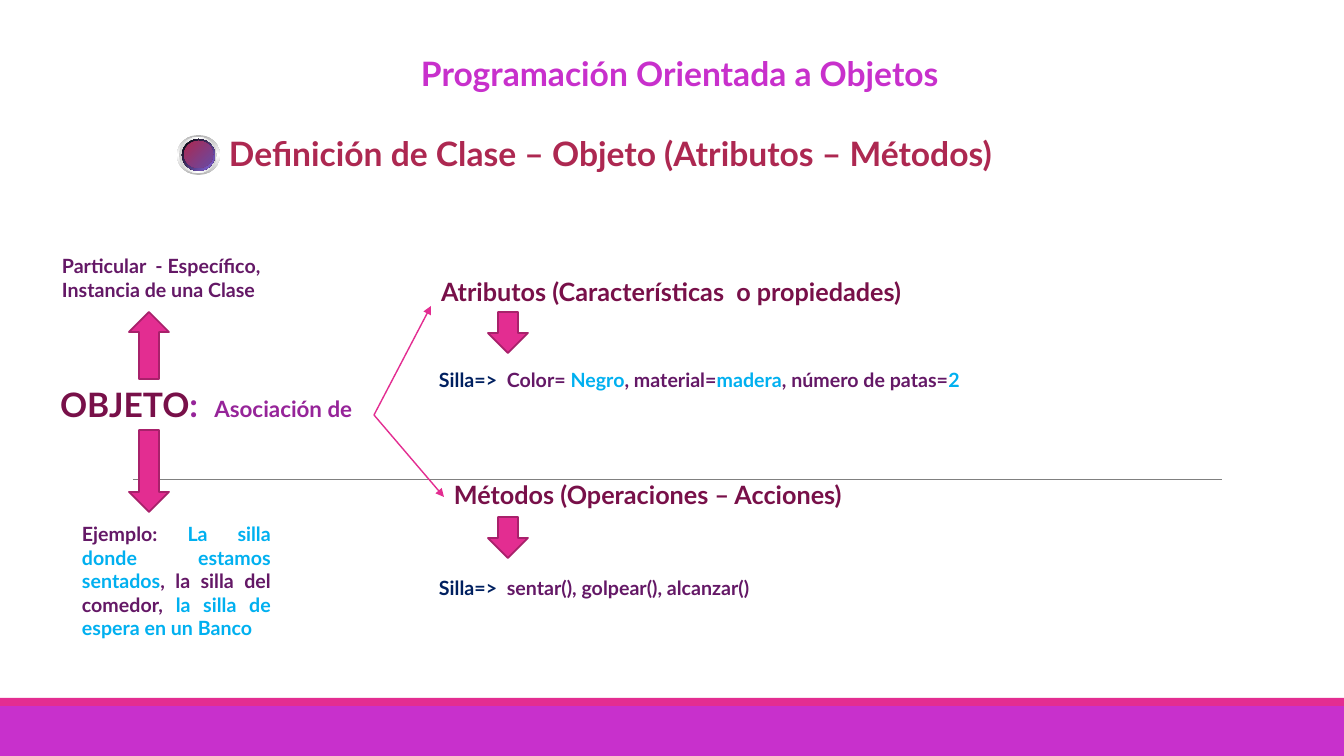
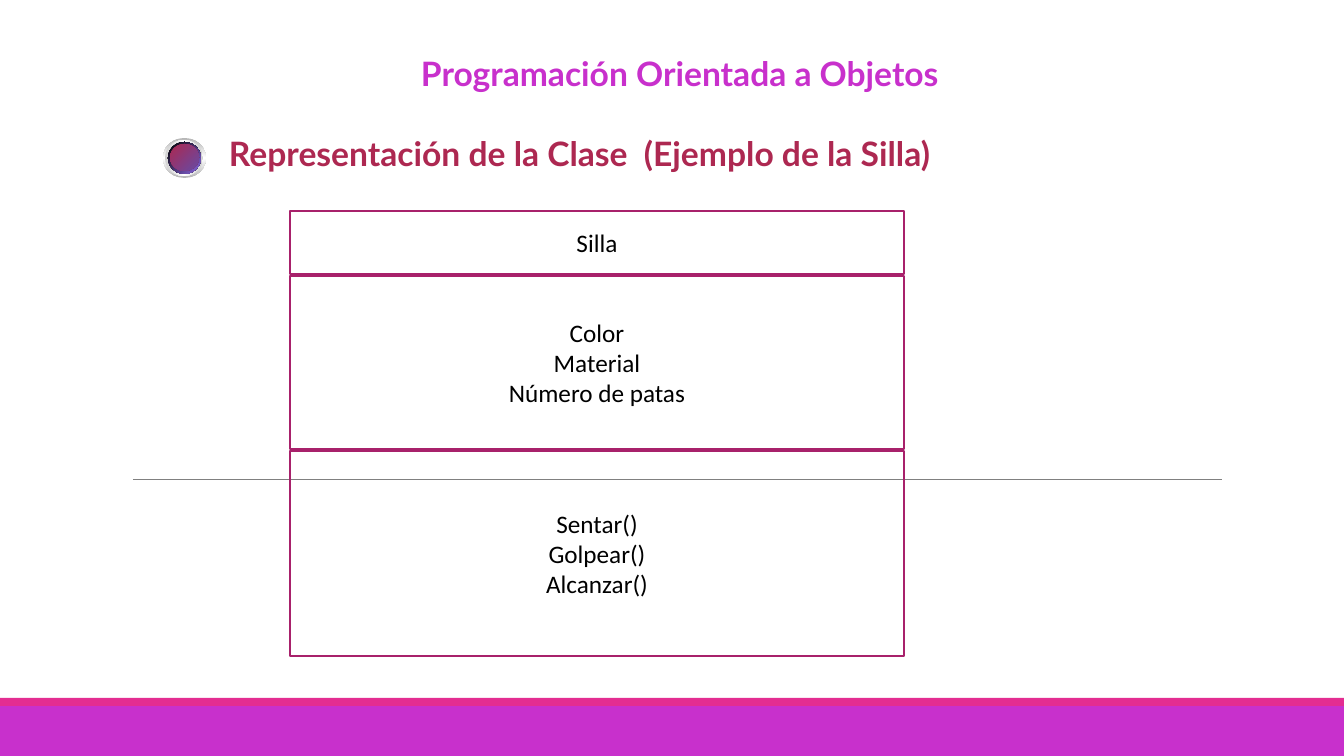
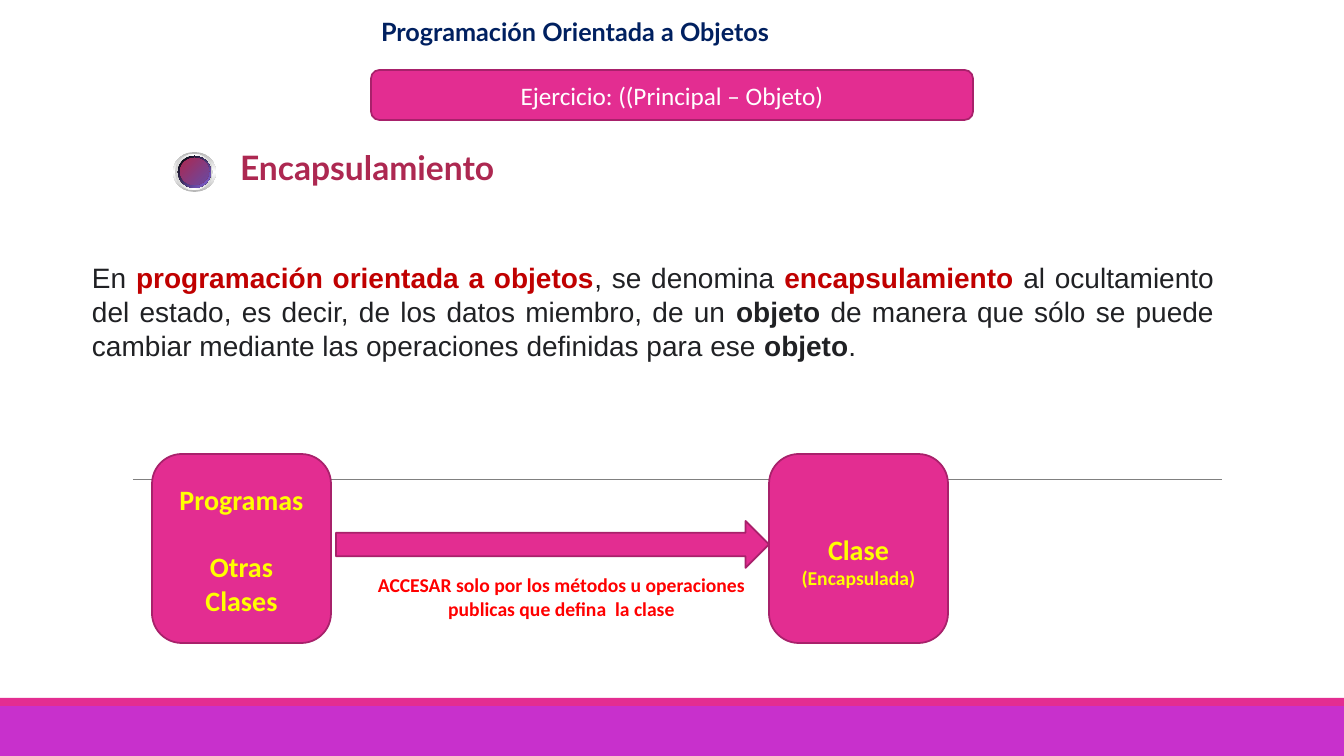
from dataclasses import dataclass

from lxml import etree
from pptx import Presentation
from pptx import util as u
from pptx.dml import color as c
from pptx.enum import shapes as s
from pptx.enum import text as t
from pptx.oxml import ns


@dataclass(frozen=True)
class Theme:
    purple: str = "C830CC"
    pink: str = "E32D91"
    edge: str = "A8216B"
    rule: str = "808080"
    heading: str = "AD2851"
    wine: str = "781049"
    violet: str = "962499"
    plum: str = "641866"
    sky: str = "00B0F0"
    navy: str = "002060"
    yellow: str = "FFFF00"
    red: str = "FF0000"
    crimson: str = "C00000"
    ink: str = "202124"
    black: str = "000000"
    white: str = "FFFFFF"
    title: int = 24
    box: int = 20
    topic: int = 18
    label: int = 16
    note: int = 14
    font: str = "Lato"
    box_font: str = "Calibri"
    text_font: str = "Arial"


theme = Theme()
PX = 914400 / 100.8
KIND = s.MSO_SHAPE
LEFT, CENTER, JUSTIFY = t.PP_ALIGN.LEFT, t.PP_ALIGN.CENTER, t.PP_ALIGN.JUSTIFY
TOP, MIDDLE = t.MSO_ANCHOR.TOP, t.MSO_ANCHOR.MIDDLE


def draw(shapes, at, kind=None, fill=None, line=None):
    """Add a text box, or a preset shape filled with a colour or (angle, colours)."""
    place = [round(value * PX) for value in at]
    if kind is None:
        return shapes.add_textbox(*place)
    shape = shapes.add_shape(kind, *place)
    shape.shadow.inherit = False
    if isinstance(fill, tuple):
        angle, colors = fill
        shape.fill.gradient()
        grad = shape.element.spPr.find(ns.qn("a:gradFill"))
        stops = grad.find(ns.qn("a:gsLst"))
        for stop in list(stops):
            stops.remove(stop)
        for index, color in enumerate(colors):
            position = str(100000 * index // (len(colors) - 1))
            stop = etree.SubElement(stops, ns.qn("a:gs"), pos=position)
            etree.SubElement(stop, ns.qn("a:srgbClr"), val=color)
        grad.find(ns.qn("a:lin")).set("ang", str(angle * 60000))
    elif fill:
        shape.fill.solid()
        shape.fill.fore_color.rgb = c.RGBColor.from_string(fill)
    else:
        shape.fill.background()
    if line:
        shape.line.color.rgb = c.RGBColor.from_string(line)
        shape.line.width = u.Pt(1.25)
    else:
        shape.line.fill.background()
    return shape


def write(shape, *paragraphs, size, color, font=theme.font, bold=True,
          align=LEFT, anchor=TOP, gap=0, top=5, side=10):
    """Each paragraph is a string or a list of (text, changes) spans."""
    frame = shape.text_frame
    frame.word_wrap = True
    frame.vertical_anchor = anchor
    frame.margin_top = round(top * PX)
    frame.margin_left = frame.margin_right = round(side * PX)
    for index, spans in enumerate(paragraphs):
        para = frame.add_paragraph() if index else frame.paragraphs[0]
        para.alignment = align
        if index and gap:
            para.space_before = u.Pt(gap)
        for text, changes in [(spans, {})] if isinstance(spans, str) else spans:
            look = dict(size=size, color=color, bold=bold) | changes
            span = para.add_run()
            span.text = text
            span.font.name = font
            span.font.size = u.Pt(look["size"])
            span.font.bold = look["bold"]
            span.font.color.rgb = c.RGBColor.from_string(look["color"])


deck = Presentation()
deck.slide_width, deck.slide_height = round(1344 * PX), round(756 * PX)

# Shared parts: bands, rule, title, heading with its round bullet
main_title = dict(at=(411, 48, 739, 50), size=theme.title, color=theme.purple)
small_title = dict(at=(371, 11, 563, 40), size=theme.topic, color=theme.navy)
outlines = [
    (main_title, "Definición de Clase – Objeto (Atributos – Métodos)", (219, 128), (177, 135)),
    (main_title, "Representación de la Clase  (Ejemplo de la Silla)", (219, 128), (163, 138)),
    (small_title, "Encapsulamiento", (230, 142), (173, 152)),
]
bullet_layers = [
    (0, 0, 43, 40, (90, ["B6B6B6", "FFFFFF", "B6B6B6"])),
    (2, 2, 38, 36, (0, ["D1D1D1", "FFFFFF", "D1D1D1"])),
    (5, 4, 33, 32, (45, ["000000", "8D67E1"])),
    (7, 6, 29, 27, (45, ["AD2851", "674BA4"])),
]
pages = []
for title, heading, (left, top), (bullet_x, bullet_y) in outlines:
    page = deck.slides.add_slide(deck.slide_layouts[6])
    draw(page.shapes, (0, 706, 1344, 50), KIND.RECTANGLE, theme.purple)
    draw(page.shapes, (0, 698, 1344, 8), KIND.RECTANGLE, theme.pink)

    # The rule, and on the first page the two branches from the object
    lines = [((133, 479, 1222, 479), theme.rule, 0.5, False)]
    if not pages:
        lines += [((374, 415, x, y), theme.pink, 1, True) for x, y in [(431, 306), (444, 497)]]
    for ends, color, width, arrow in lines:
        line = page.shapes.add_connector(s.MSO_CONNECTOR.STRAIGHT, *[round(end * PX) for end in ends])
        line.line.color.rgb = c.RGBColor.from_string(color)
        line.line.width = u.Pt(width)
        properties = line.element.spPr
        if arrow:
            etree.SubElement(properties.find(ns.qn("a:ln")), ns.qn("a:tailEnd"), type="triangle")
        etree.SubElement(properties, ns.qn("a:effectLst"))

    write(draw(page.shapes, title["at"]), "Programación Orientada a Objetos",
          size=title["size"], color=title["color"])
    write(draw(page.shapes, (left, top, 979, 50)), heading, size=theme.title, color=theme.heading)
    bullet = page.shapes.add_group_shape()
    for x, y, width, height, fill in bullet_layers:
        draw(bullet.shapes, (bullet_x + x, bullet_y + y, width, height), KIND.OVAL, fill)
    pages.append(page)
object_page, class_page, capsule_page = pages

# Object page: block arrows
for kind, left, top, height in [
    (KIND.UP_ARROW, 129, 312, 67),
    (KIND.DOWN_ARROW, 129, 430, 82),
    (KIND.DOWN_ARROW, 488, 312, 41),
    (KIND.DOWN_ARROW, 488, 517, 41),
]:
    draw(object_page.shapes, (left, top, 40, height), kind, theme.pink, theme.edge)

# Object page: texts
sky, navy, violet = dict(color=theme.sky), dict(color=theme.navy), dict(color=theme.violet)
for at, size, color, *paragraphs in [
    ((50, 379, 350, 50), theme.title, theme.wine,
     [("OBJETO", {}), (":  ", violet), ("Asociación de", violet | dict(size=theme.label))]),
    ((431, 271, 890, 40), theme.topic, theme.wine, "Atributos (Características  o propiedades)"),
    ((444, 474, 890, 40), theme.topic, theme.wine, "Métodos (Operaciones – Acciones)"),
    ((52, 249, 249, 58), theme.note, theme.plum, "Particular  - Específico,", "Instancia de una Clase"),
    ((72, 517, 209, 152), theme.note, theme.plum,
     [("Ejemplo: ", {}), ("La silla donde estamos sentados", sky),
      (", la silla del comedor, ", {}), ("la silla de espera en un Banco", sky)]),
    ((429, 363, 652, 34), theme.note, theme.plum,
     [("Silla=>  ", navy), ("Color= ", {}), ("Negro", sky), (", material=", {}),
      ("madera", sky), (", número de patas=", {}), ("2", sky)]),
    ((429, 571, 425, 34), theme.note, theme.plum,
     [("Silla=>  ", navy), ("sentar(), golpear(), alcanzar()", {})]),
]:
    write(draw(object_page.shapes, at), *paragraphs, size=size, color=color, align=JUSTIFY)

# Class page: the three compartments, stacked with a gap of 2 px
top = 211
for height, members in [
    (63, ["Silla"]),
    (173, ["Color", "Material", "Número de patas"]),
    (205, ["Sentar()", "Golpear()", "Alcanzar()"]),
]:
    box = draw(class_page.shapes, (290, top, 614, height), KIND.RECTANGLE, line=theme.edge)
    write(box, *members, size=theme.topic, color=theme.black, font=theme.box_font,
          bold=False, align=CENTER, anchor=MIDDLE)
    top += height + 2

# Encapsulation page: banner and definition
banner = draw(capsule_page.shapes, (371, 70, 602, 50), KIND.ROUNDED_RECTANGLE, theme.pink, theme.edge)
write(banner, "Ejercicio: ((Principal – Objeto)", size=theme.topic, color=theme.white,
      font=theme.box_font, bold=False, align=CENTER, anchor=MIDDLE)
key, strong = dict(color=theme.crimson, bold=True), dict(bold=True)
write(draw(capsule_page.shapes, (82, 256, 1142, 112)), [
    ("En ", {}), ("programación orientada a objetos", key),
    (", se denomina ", {}), ("encapsulamiento", key),
    (" al ocultamiento del estado, es decir, de los datos miembro, de un ", {}),
    ("objeto", strong),
    (" de manera que sólo se puede cambiar mediante las operaciones definidas para ese ", {}),
    ("objeto", strong), (".", {}),
], size=theme.box, color=theme.ink, font=theme.text_font, bold=False, align=JUSTIFY)

# Encapsulation page: programs reach the class through its methods
for left, inset, gap, paragraphs in [
    (152, 20, 24, ["Programas", "Otras Clases"]),
    (769, 70, 0, ["Clase", [("(Encapsulada)", dict(size=theme.note))]]),
]:
    box = draw(capsule_page.shapes, (left, 454, 179, 189), KIND.ROUNDED_RECTANGLE, theme.pink, theme.edge)
    write(box, *paragraphs, size=theme.box, color=theme.yellow, font=theme.box_font,
          align=CENTER, gap=gap, top=inset, side=14)
draw(capsule_page.shapes, (336, 521, 433, 47), KIND.RIGHT_ARROW, theme.pink, theme.edge)
write(draw(capsule_page.shapes, (354, 568, 415, 57)),
      "ACCESAR solo por los métodos u operaciones publicas que defina  la clase",
      size=theme.note, color=theme.red, font=theme.box_font, align=CENTER)

deck.save("out.pptx")
